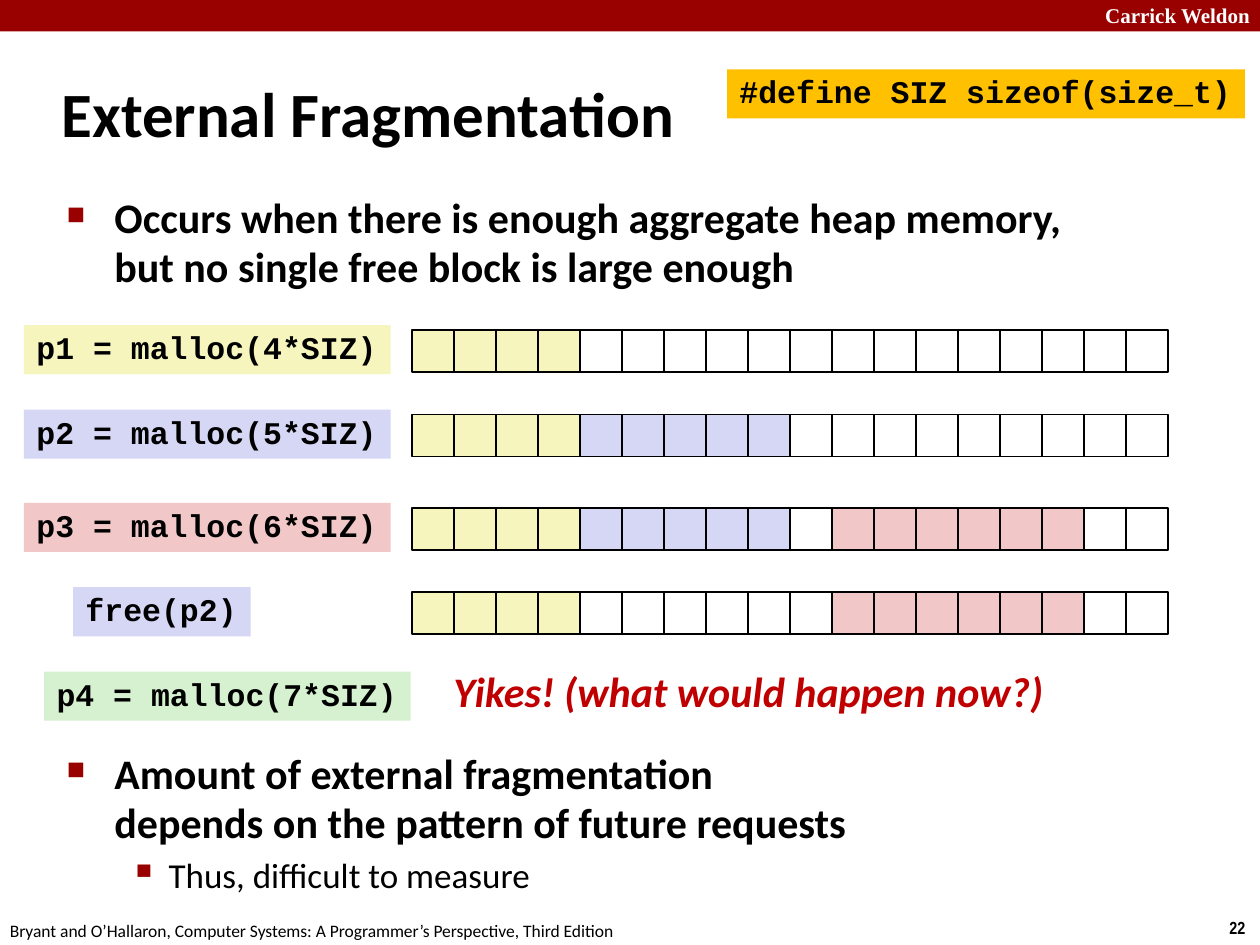
import pptx
import pptx.util
import pptx.dml.color
import pptx.enum.shapes
import pptx.enum.text
from lxml import etree

Inches, Pt = pptx.util.Inches, pptx.util.Pt
RGBColor = pptx.dml.color.RGBColor
RECT = pptx.enum.shapes.MSO_SHAPE.RECTANGLE
ALIGN = pptx.enum.text.PP_ALIGN
ANCHOR = pptx.enum.text.MSO_ANCHOR

BLACK = RGBColor(0x00, 0x00, 0x00)
WHITE = RGBColor(0xFF, 0xFF, 0xFF)
MAROON = RGBColor(0x99, 0x00, 0x00)
RED = RGBColor(0xC0, 0x00, 0x00)
GOLD = RGBColor(0xFF, 0xC0, 0x00)
YELLOW = RGBColor(0xF6, 0xF5, 0xBD)
LILAC = RGBColor(0xD6, 0xD6, 0xF5)
PINK = RGBColor(0xF1, 0xC7, 0xC7)
GREEN = RGBColor(0xD5, 0xF1, 0xCF)

# Content: heap rows as (label, label colour, label left, row top, runs of cells)
HEAP_ROWS = [
    ("p1 = malloc(4*SIZ)", YELLOW, 0.19, 2.62, [(4, YELLOW), (14, WHITE)]),
    ("p2 = malloc(5*SIZ)", LILAC, 0.19, 3.29,
     [(4, YELLOW), (5, LILAC), (9, WHITE)]),
    ("p3 = malloc(6*SIZ)", PINK, 0.19, 4.03,
     [(4, YELLOW), (5, LILAC), (1, WHITE), (6, PINK), (2, WHITE)]),
    ("free(p2)", LILAC, 0.58, 4.7,
     [(4, YELLOW), (6, WHITE), (6, PINK), (2, WHITE)]),
]
# Loose code labels: (text, colour, left, top)
CODE_LABELS = [
    ("p4 = malloc(7*SIZ)", GREEN, 0.35, 5.33),
    ("#define SIZ sizeof(size_t)", GOLD, 5.77, 0.55),
]
# Bullet blocks: (top, height, [(text, level)]); \v breaks a line
BULLETS = [
    (1.49, 0.95, [("Occurs when there is enough aggregate heap memory, "
                   "but no single free block is large enough", 0)]),
    (5.9, 1.3, [("Amount of external fragmentation\v"
                 "depends on the pattern of future requests", 0),
                ("Thus, difficult to measure", 1)]),
]
# Per level: size, bold, left margin, hanging indent, bullet, bullet size in %
LEVELS = [(24, True, 0.38, 0.38, "■", 60), (20, False, 0.81, 0.31, "▪", 110)]

GRID_LEFT, CELL = 3.27, 1 / 3
LABEL_HEIGHT, LABEL_RISE = 0.39, 0.04
CHAR_WIDTH, LABEL_PADDING = 0.15, 0.21

prs = pptx.Presentation()
prs.slide_width, prs.slide_height = Inches(10), Inches(7.5)
s = prs.slides.add_slide(prs.slide_layouts[6])


def add_rect(shapes, left, top, width, height, fill, outlined=False):
    sp = shapes.add_shape(RECT, *map(Inches, (left, top, width, height)))
    sp.shadow.inherit = False
    sp.fill.solid()
    sp.fill.fore_color.rgb = fill
    if outlined:
        sp.line.color.rgb = BLACK
        sp.line.width = Pt(1)
    else:
        sp.line.fill.background()
    return sp


def add_box(left, top, width, height, wrap=False):
    tf = s.shapes.add_textbox(*map(Inches, (left, top, width, height))).text_frame
    tf.word_wrap = wrap
    return tf


def write(p, text, size=18, font="Calibri", color=BLACK, bold=False,
          italic=False, align=ALIGN.LEFT, spacing=None):
    p.text = text
    p.alignment = align
    p.line_spacing = spacing
    for r in p.runs:
        r.font.size, r.font.name = Pt(size), font
        r.font.bold, r.font.italic = bold, italic
        r.font.color.rgb = color


def add_bullet(p, char, percent, margin, hanging):
    pPr = p._p.get_or_add_pPr()
    pPr.set("marL", str(Inches(margin)))
    pPr.set("indent", str(-Inches(hanging)))
    ns = pptx.oxml.ns.qn
    color = etree.SubElement(pPr, ns("a:buClr"))
    etree.SubElement(color, ns("a:srgbClr"), val=str(MAROON))
    etree.SubElement(pPr, ns("a:buSzPct"), val=str(percent * 1000))
    etree.SubElement(pPr, ns("a:buChar"), char=char)


def add_code_label(text, fill, left, top):
    width = len(text) * CHAR_WIDTH + LABEL_PADDING
    tf = add_rect(s.shapes, left, top, width, LABEL_HEIGHT, fill).text_frame
    tf.word_wrap = False
    tf.vertical_anchor = ANCHOR.TOP
    write(tf.paragraphs[0], text, font="Courier New", bold=True, spacing=0.94)


# Header band and footer
add_rect(s.shapes, 0, 0, 10, 0.25, MAROON)
write(add_box(8.59, -0.03, 1.43, 0.3).paragraphs[0], "Carrick Weldon", size=12,
      font="Times New Roman", color=WHITE, bold=True, align=ALIGN.RIGHT)
write(add_box(9.66, 7.23, 0.34, 0.27).paragraphs[0], "22", size=10,
      font="Arial Narrow", bold=True)
write(add_box(-0.02, 7.25, 5.08, 0.27).paragraphs[0],
      "Bryant and O’Hallaron, Computer Systems: "
      "A Programmer’s Perspective, Third Edition", size=10)

# Title
tf = add_box(0.39, 0.48, 8.3, 0.83, wrap=True)
tf.vertical_anchor = ANCHOR.MIDDLE
write(tf.paragraphs[0], "External Fragmentation", size=36, bold=True)

# Bullets
for top, height, items in BULLETS:
    tf = add_box(0.43, top, 8.64, height, wrap=True)
    for i, (text, level) in enumerate(items):
        size, bold, margin, hanging, char, percent = LEVELS[level]
        p = tf.add_paragraph() if i else tf.paragraphs[0]
        write(p, text, size=size, bold=bold, spacing=0.98)
        p.level = level
        p.space_before = Pt(size * 0.2 if i else 0)
        add_bullet(p, char, percent, margin, hanging)

# Code labels and the remark
for label in CODE_LABELS:
    add_code_label(*label)
write(add_box(3.5, 5.23, 4.92, 0.5).paragraphs[0],
      "Yikes! (what would happen now?)", size=24, color=RED, bold=True,
      italic=True)

# Heap rows
for text, fill, left, top, blocks in HEAP_ROWS:
    add_code_label(text, fill, left, top - LABEL_RISE)
    row = s.shapes.add_group_shape()
    cells = [color for count, color in blocks for _ in range(count)]
    for col, color in enumerate(cells):
        add_rect(row.shapes, GRID_LEFT + col * CELL, top, CELL, CELL, color,
                 outlined=True)

prs.save("out.pptx")
